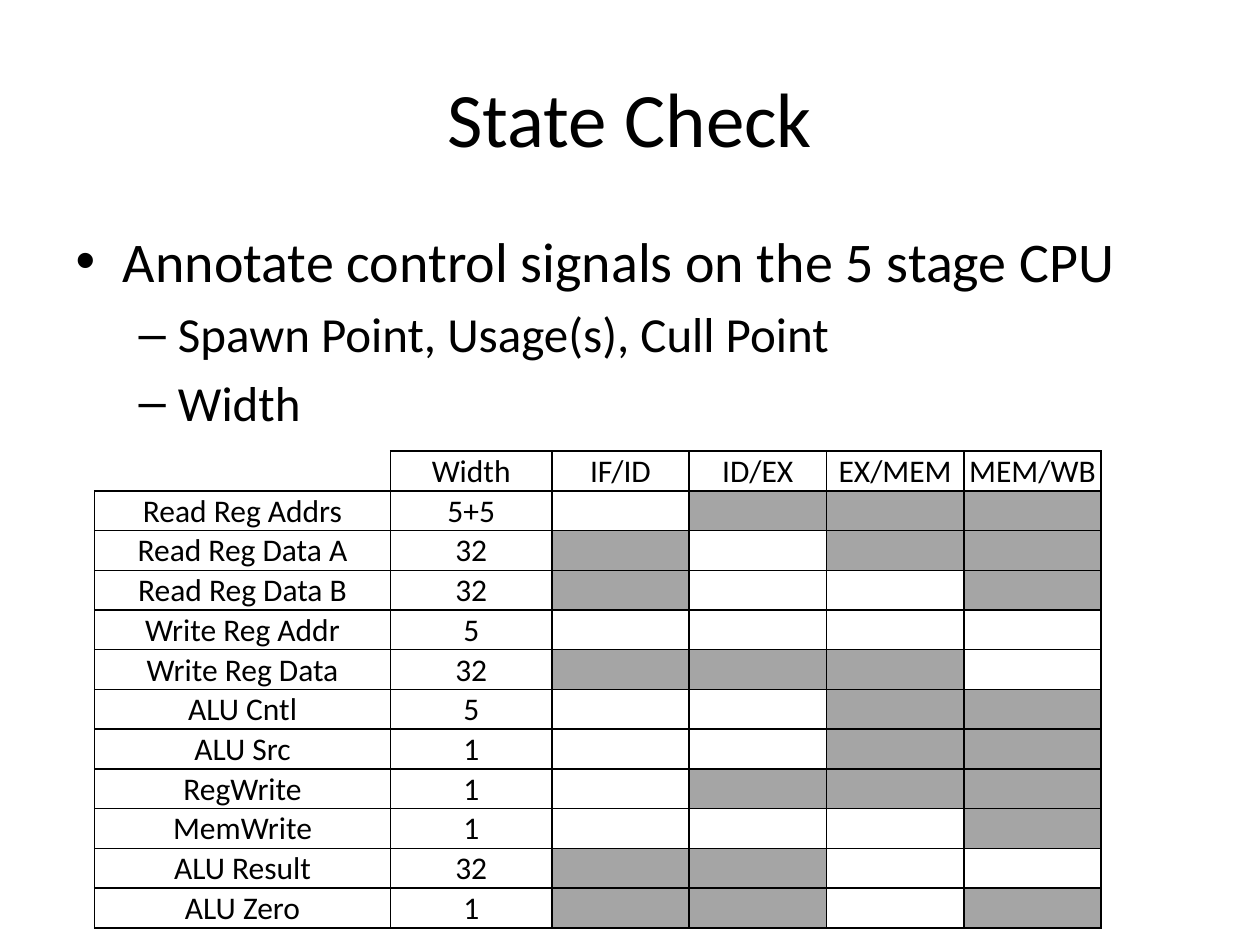
from pptx import Presentation
from pptx.dml.color import RGBColor
from pptx.enum.text import MSO_ANCHOR, PP_ALIGN
from pptx.oxml import parse_xml
from pptx.oxml.ns import nsdecls
from pptx.util import Inches, Pt

BLACK = RGBColor(0, 0, 0)
GREY = RGBColor(0xA5, 0xA5, 0xA5)


def write(para, text, size, align=None, level=0):
    para.level = level
    para.alignment = align
    run = para.add_run()
    run.text = text
    run.font.size = Pt(size)
    run.font.name = "Calibri"
    run.font.color.rgb = BLACK


def border(cell, sides):
    props = cell._tc.get_or_add_tcPr()
    for side in sides:
        props.append(parse_xml(
            f'<a:ln{side} {nsdecls("a")} w="12700"><a:solidFill>'
            f'<a:srgbClr val="{BLACK}"/></a:solidFill></a:ln{side}>'))


deck = Presentation()
deck.slide_width, deck.slide_height = Inches(10), Inches(7.5)
slide = deck.slides.add_slide(deck.slide_layouts[1])

# Title
title = slide.shapes.title
title.left, title.top = Inches(0.5), Inches(0.3)
title.width, title.height = Inches(9), Inches(1.25)
write(title.text_frame.paragraphs[0], "State Check", 44, PP_ALIGN.CENTER)

# Bulleted list
body = slide.placeholders[1]
body.left, body.top = Inches(0.5), Inches(1.75)
body.width, body.height = Inches(9), Inches(2)
points = [
    ("Annotate control signals on the 5 stage CPU", 32, 0),
    ("Spawn Point, Usage(s), Cull Point", 28, 1),
    ("Width", 28, 1),
]
frame = body.text_frame
for i, (text, size, level) in enumerate(points):
    para = frame.add_paragraph() if i else frame.paragraphs[0]
    write(para, text, size, level=level)

# Signals: name, width, and the stage columns shaded grey (x)
heads = ["", "Width", "IF/ID", "ID/EX", "EX/MEM", "MEM/WB"]
signals = [
    ("Read Reg Addrs", "5+5", "-xxx"),
    ("Read Reg Data A", "32", "x-xx"),
    ("Read Reg Data B", "32", "x--x"),
    ("Write Reg Addr", "5", "----"),
    ("Write Reg Data", "32", "xxx-"),
    ("ALU Cntl", "5", "--xx"),
    ("ALU Src", "1", "--xx"),
    ("RegWrite", "1", "-xxx"),
    ("MemWrite", "1", "---x"),
    ("ALU Result", "32", "xx--"),
    ("ALU Zero", "1", "xx-x"),
]
rows = [heads] + [[name, width, *marks] for name, width, marks in signals]

# Table
table = slide.shapes.add_table(
    len(rows), len(heads),
    Inches(0.75), Inches(3.58), Inches(8), Inches(3.73)).table
table.first_row = table.horz_banding = False
for col, width in zip(table.columns, [2.35, 1.28] + [1.09] * 4):
    col.width = Inches(width)

for r, row in enumerate(rows):
    table.rows[r].height = Inches(3.73 / len(rows))
    for c, text in enumerate(row):
        cell = table.cell(r, c)
        border(cell, "RB" if r == c == 0 else "LRTB")
        cell.margin_left = cell.margin_right = cell.margin_top = Inches(0.01)
        cell.margin_bottom = 0
        cell.vertical_anchor = MSO_ANCHOR.BOTTOM
        if text == "x":
            cell.fill.solid()
            cell.fill.fore_color.rgb = GREY
        else:
            cell.fill.background()
        if text not in ("", "x", "-"):
            write(cell.text_frame.paragraphs[0], text, 18, PP_ALIGN.CENTER)

deck.save("out.pptx")
